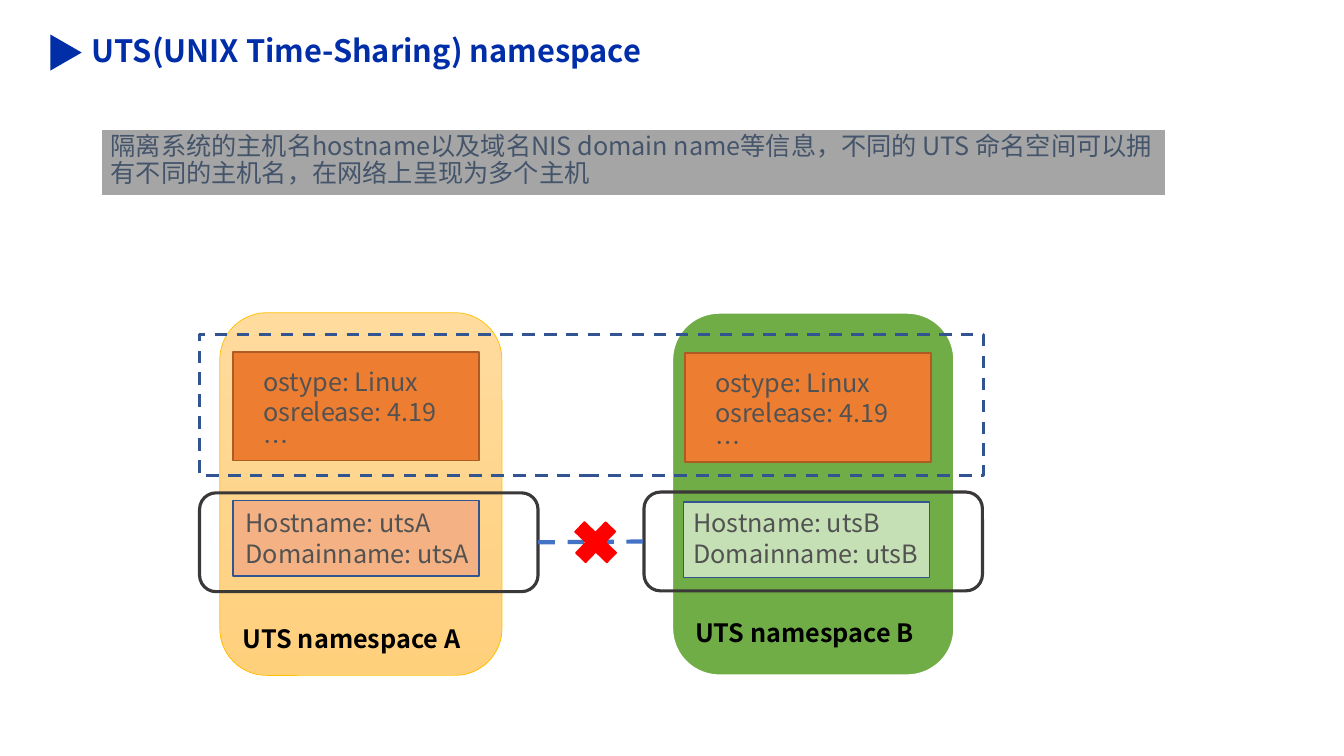
from dataclasses import dataclass

import pptx
import pptx.dml.color
import pptx.enum.dml
import pptx.enum.shapes
import pptx.enum.text
import pptx.oxml
import pptx.oxml.ns
import pptx.util

Cm = pptx.util.Cm
Pt = pptx.util.Pt
Shape = pptx.enum.shapes.MSO_SHAPE
Anchor = pptx.enum.text.MSO_ANCHOR
DASH = pptx.enum.dml.MSO_LINE.DASH


@dataclass(frozen=True)
class Theme:
    font: str = "Noto Sans CJK SC"
    title_size: int = 22
    body_size: int = 18
    title: str = "002DA8"
    marker: str = "002EA7"
    body: str = "44546A"
    detail: str = "525252"
    label: str = "000000"
    banner: str = "A5A5A5"
    white: str = "FFFFFF"
    card_a: tuple = ("FFDB9E", "FFD07C")
    card_a_line: str = "FFC000"
    card_b: str = "70AD47"
    kernel: str = "ED7D31"
    kernel_line: str = "AF5C24"
    host_a: str = "F4B183"
    host_b: str = "C5E0B4"
    blue_line: str = "325491"
    isolated: str = "3B3838"
    link: str = "4472C4"
    cross: str = "FF0000"


THEME = Theme()


def rgb(value):
    return pptx.dml.color.RGBColor.from_string(value)


def lengths(box):
    return [Cm(value) for value in box]


def style_line(line, color, width, dash=None):
    line.color.rgb = rgb(color)
    line.width = Pt(width)
    if dash:
        line.dash_style = dash


def write_text(text_frame, text, color, size=THEME.body_size, bold=False, spacing=None):
    text_frame.text = text
    text_frame.word_wrap = True
    for paragraph in text_frame.paragraphs:
        paragraph.alignment = pptx.enum.text.PP_ALIGN.LEFT
        paragraph.line_spacing = spacing
        for run in paragraph.runs:
            run.font.name = THEME.font
            run.font.size = Pt(size)
            run.font.bold = bold
            run.font.color.rgb = rgb(color)
            # East Asian characters use the same typeface
            east_asian = pptx.oxml.parse_xml(
                f'<a:ea {pptx.oxml.ns.nsdecls("a")} typeface="{THEME.font}"/>')
            run.font._element.find(pptx.oxml.ns.qn("a:latin")).addnext(east_asian)


def add_box(shapes, kind, box, fill=None, line=None, width=1, dash=None):
    shape = shapes.add_shape(kind, *lengths(box))
    shape.shadow.inherit = False
    if fill is None:
        shape.fill.background()
    elif isinstance(fill, tuple):
        shape.fill.gradient()
        shape.fill.gradient_angle = 270
        for stop, color in zip(shape.fill.gradient_stops, fill):
            stop.color.rgb = rgb(color)
    else:
        shape.fill.solid()
        shape.fill.fore_color.rgb = rgb(fill)
    if line is None:
        shape.line.fill.background()
    else:
        style_line(shape.line, line, width, dash)
    return shape


def add_label(shapes, box, text, color, bold=False):
    text_box = shapes.add_textbox(*lengths(box))
    write_text(text_box.text_frame, text, color, bold=bold)
    text_box.text_frame.auto_size = pptx.enum.text.MSO_AUTO_SIZE.SHAPE_TO_FIT_TEXT


def add_title(slide, text):
    marker = add_box(slide.shapes, Shape.RIGHT_ARROW, (1.27, 0.87, 0.79, 0.91), THEME.marker)
    marker.adjustments[1] = 1
    title = slide.shapes.title
    title.left, title.top, title.width, title.height = lengths((2.06, 0.79, 19.13, 1.07))
    write_text(title.text_frame, text, THEME.title, THEME.title_size, True, 0.9)
    title.text_frame.auto_size = pptx.enum.text.MSO_AUTO_SIZE.NONE
    title.text_frame.vertical_anchor = Anchor.MIDDLE


def add_description(slide, text):
    banner = add_box(slide.shapes, Shape.RECTANGLE, (2.54, 3.25, 26.85, 1.7),
                     THEME.banner, THEME.white, 1.5)
    write_text(banner.text_frame, text, THEME.body, spacing=0.9)
    banner.text_frame.vertical_anchor = Anchor.TOP


def add_namespace(slide, name, left, label_top, fill, line, width):
    shapes = slide.shapes
    add_box(shapes, Shape.ROUNDED_RECTANGLE, (left, 7.88, 7.11, 9.14), fill, line, width)
    add_label(shapes, (left + 0.33, label_top, 6.45, 1.02),
              f"UTS namespace {name}", THEME.label, bold=True)


def add_host(slide, name, left, top, text_left, fill):
    shapes = slide.shapes.add_group_shape().shapes
    add_box(shapes, Shape.RECTANGLE, (left, top, 6.2, 1.9), fill, THEME.blue_line)
    add_label(shapes, (text_left, 12.67, 6.45, 1.8),
              f"Hostname: uts{name}\nDomainname: uts{name}", THEME.detail)


def add_kernel(slide, left, top):
    add_box(slide.shapes, Shape.RECTANGLE, (left, top, 6.2, 2.74),
            THEME.kernel, THEME.kernel_line)
    add_label(slide.shapes, (left + 0.52, top + 0.23, 5.16, 2.57),
              "ostype: Linux\nosrelease: 4.19\n…", THEME.detail)


def add_broken_link(slide, start, end):
    connector = slide.shapes.add_connector(
        pptx.enum.shapes.MSO_CONNECTOR.STRAIGHT, *lengths((13.56, 13.67, 16.23, 13.64)))
    connector.begin_connect(start, 3)
    connector.end_connect(end, 1)
    style_line(connector.line, THEME.link, 3, DASH)
    connector._element.spPr.append(
        pptx.oxml.parse_xml(f'<a:effectLst {pptx.oxml.ns.nsdecls("a")}/>'))
    cross = add_box(slide.shapes, Shape.MATH_PLUS, (14.25, 12.93, 1.52, 1.47),
                    THEME.cross, THEME.cross)
    cross.rotation = 44


def main():
    presentation = pptx.Presentation()
    presentation.slide_width = Cm(33.87)
    presentation.slide_height = Cm(19.05)
    slide = presentation.slides.add_slide(presentation.slide_layouts[5])

    # Heading
    add_title(slide, "UTS(UNIX Time-Sharing) namespace")
    add_description(slide, "隔离系统的主机名hostname以及域名NIS domain name等信息，"
                           "不同的 UTS 命名空间可以拥有不同的主机名，在网络上呈现为多个主机")

    # Namespaces with their own host names and the same kernel facts
    add_namespace(slide, "A", 5.54, 15.57, THEME.card_a, THEME.card_a_line, 0.5)
    add_namespace(slide, "B", 16.94, 15.44, THEME.card_b, THEME.white, 1.5)
    add_host(slide, "A", 5.87, 12.62, 5.94, THEME.host_a)
    add_host(slide, "B", 17.22, 12.65, 17.22, THEME.host_b)
    add_kernel(slide, 5.87, 8.87)
    add_kernel(slide, 17.26, 8.9)

    # Shared frame, isolated frames and the broken link between them
    add_box(slide.shapes, Shape.RECTANGLE, (5.03, 8.43, 19.76, 3.56),
            line=THEME.blue_line, width=2.25, dash=DASH)
    isolated_a, isolated_b = [
        add_box(slide.shapes, Shape.ROUNDED_RECTANGLE, (left, top, 8.53, 2.49),
                line=THEME.isolated, width=2.25)
        for left, top in ((5.03, 12.42), (16.23, 12.4))]
    add_broken_link(slide, isolated_a, isolated_b)

    presentation.save("out.pptx")


if __name__ == "__main__":
    main()
